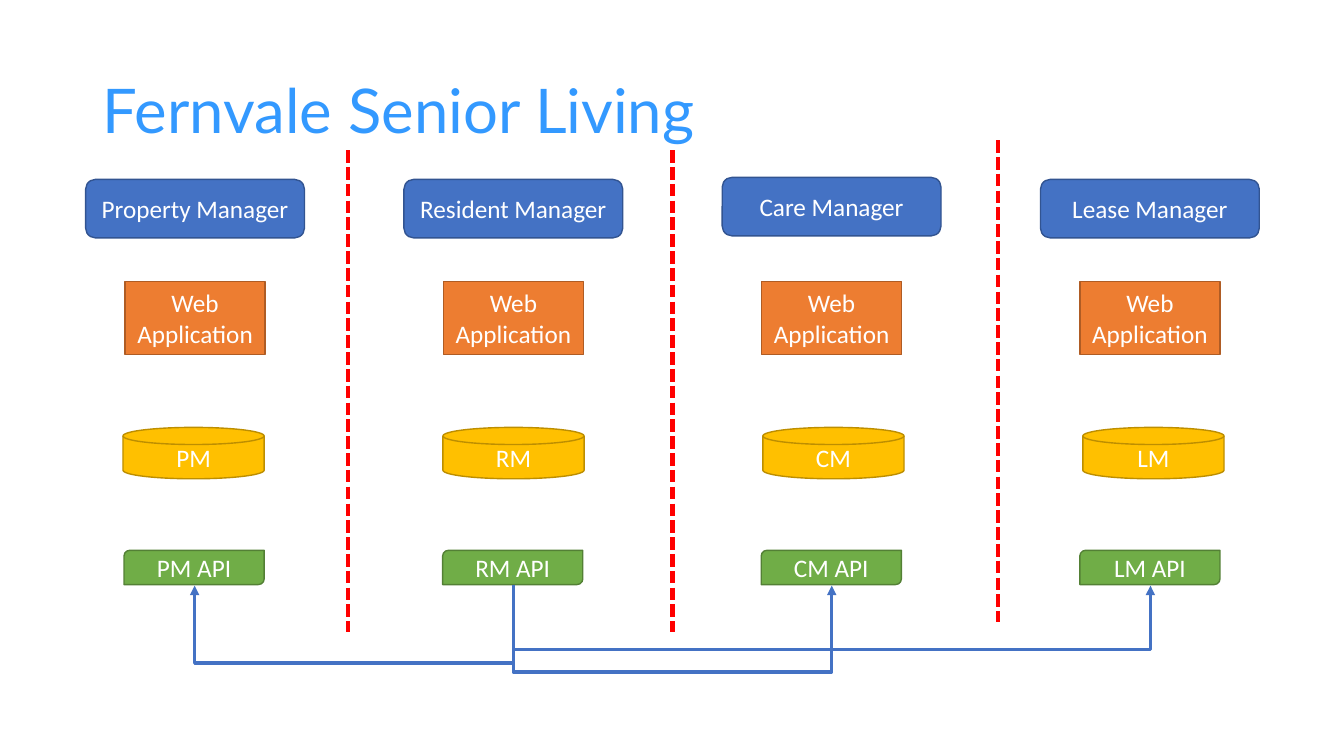
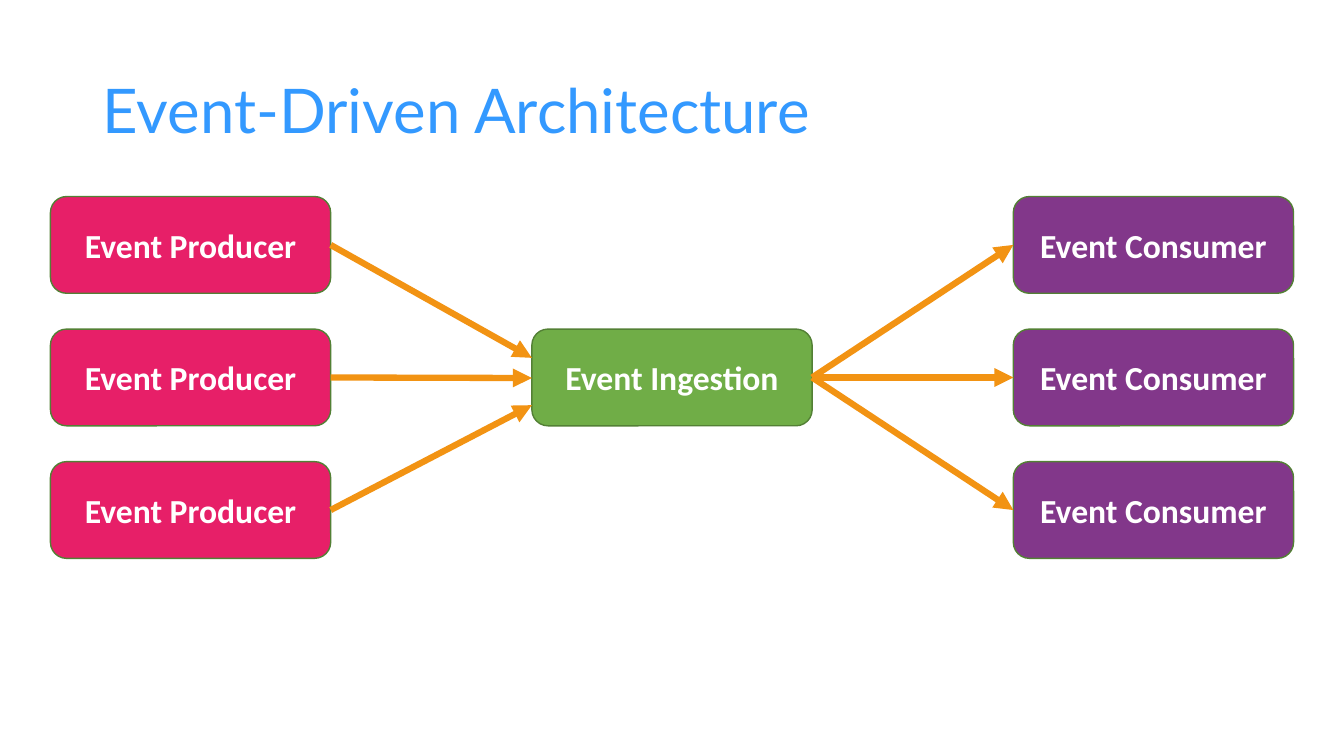
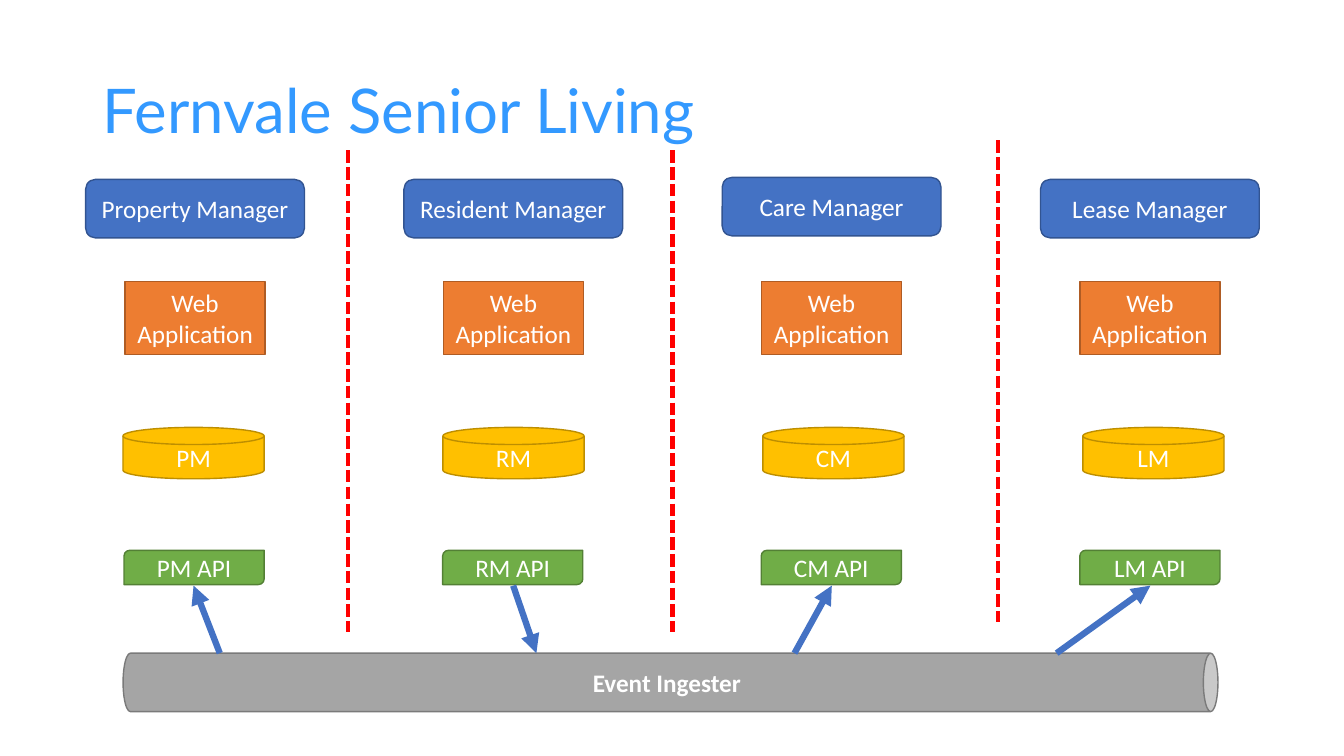
from dataclasses import dataclass

from lxml import etree
from pptx import Presentation
from pptx.dml.color import RGBColor
from pptx.enum.dml import MSO_LINE
from pptx.enum.shapes import MSO_CONNECTOR, MSO_SHAPE
from pptx.enum.text import MSO_ANCHOR, PP_ALIGN
from pptx.oxml.ns import qn
from pptx.util import Inches, Pt

ROUNDED, RECTANGLE = MSO_SHAPE.ROUNDED_RECTANGLE, MSO_SHAPE.RECTANGLE
DISK, API_BOX, CAN = MSO_SHAPE.FLOWCHART_MAGNETIC_DISK, MSO_SHAPE.ROUND_2_DIAG_RECTANGLE, MSO_SHAPE.CAN
STRAIGHT, ELBOW = MSO_CONNECTOR.STRAIGHT, MSO_CONNECTOR.ELBOW
DASHED = MSO_LINE.SQUARE_DOT
LEFT, CENTER, MIDDLE = PP_ALIGN.LEFT, PP_ALIGN.CENTER, MSO_ANCHOR.MIDDLE


@dataclass(frozen=True)
class Theme:
    title_font: str = "Lato"
    body_font: str = "Calibri"
    title_size: int = 44
    event_size: int = 24
    body_size: int = 18
    title: str = "3399FF"
    white: str = "FFFFFF"
    blue: str = "4472C4"
    blue_edge: str = "325491"
    orange: str = "ED7D31"
    orange_edge: str = "AF5C24"
    gold: str = "FFC000"
    gold_edge: str = "BD8E00"
    green: str = "70AD47"
    green_edge: str = "538035"
    gray: str = "A5A5A5"
    gray_edge: str = "7A7A7A"
    pink: str = "E71F68"
    purple: str = "82378A"
    amber: str = "F29313"
    red: str = "FF0000"


THEME = Theme()

COMPANY = "Fernvale Senior Living"
EVENT_TITLE = "Event-Driven Architecture"

SYSTEM_ROWS = [
    dict(labels=["Property Manager", "Resident Manager", "Care Manager", "Lease Manager"],
         kind=ROUNDED, first=0.85, last=10.32, tops=[1.78, 1.78, 1.76, 1.78], extent=(2.17, 0.58),
         fill=THEME.blue, edge=THEME.blue_edge),
    dict(labels=["Web Application"] * 4,
         kind=RECTANGLE, first=1.24, last=10.71, tops=[2.79] * 4, extent=(1.39, 0.73),
         fill=THEME.orange, edge=THEME.orange_edge),
    dict(labels=["PM", "RM", "CM", "LM"],
         kind=DISK, first=1.22, last=10.74, tops=[4.24] * 4, extent=(1.4, 0.51),
         fill=THEME.gold, edge=THEME.gold_edge),
    dict(labels=["PM API", "RM API", "CM API", "LM API"],
         kind=API_BOX, first=1.23, last=10.71, tops=[5.46] * 4, extent=(1.39, 0.34),
         fill=THEME.green, edge=THEME.green_edge),
]
DIVIDERS = [(3.45, 1.49), (6.67, 1.49), (9.9, 1.39)]
DIVIDER_LENGTH = 4.78

API_BOTTOM = 5.8
RESIDENT_API = 5.09
API_CALLS = [(11.41, 0.65), (8.25, 0.88), (1.93, 0.79)]

INGESTER = (1.22, 6.48, 10.86, 0.58)
INGESTER_ARROWS = [
    ((5.09, 5.81), (5.32, 6.48)),
    ((2.18, 6.48), (1.92, 5.81)),
    ((7.88, 6.48), (8.25, 5.81)),
    ((10.48, 6.48), (11.41, 5.81)),
]

EVENT_COLUMNS = [
    ("Event Producer", THEME.pink, [0, 1, 2]),
    ("Event Ingestion", THEME.green, [1]),
    ("Event Consumer", THEME.purple, [0, 1, 2]),
]
EVENT_BOX = (2.78, 0.96)
INGESTION_ENTRIES = [3.55, 3.75, 4.02]


def spread(first, last, count):
    return [first + (last - first) * index / (count - 1) for index in range(count)]


def add_text(shape, text, *, font=THEME.body_font, size=THEME.body_size, color=THEME.white,
             bold=False, align=CENTER, spacing=1.0):
    frame = shape.text_frame
    frame.word_wrap = True
    frame.vertical_anchor = MIDDLE
    paragraph = frame.paragraphs[0]
    paragraph.text = text
    paragraph.alignment = align
    paragraph.line_spacing = spacing
    paragraph.font.name = font
    paragraph.font.size = Pt(size)
    paragraph.font.bold = bold
    paragraph.font.color.rgb = RGBColor.from_string(color)


def add_box(slide, kind, left, top, extent, fill, edge, text, **text_format):
    shape = slide.shapes.add_shape(kind, *(Inches(value) for value in (left, top, *extent)))
    shape.shadow.inherit = False
    shape.fill.solid()
    shape.fill.fore_color.rgb = RGBColor.from_string(fill)
    shape.line.color.rgb = RGBColor.from_string(edge)
    shape.line.width = Pt(1)
    add_text(shape, text, **text_format)
    return shape


def add_line(slide, start, end, color, width, kind=STRAIGHT, dash=None, arrow=True):
    connector = slide.shapes.add_connector(kind, *(Inches(value) for value in (*start, *end)))
    connector.line.color.rgb = RGBColor.from_string(color)
    connector.line.width = Pt(width)
    if dash:
        connector.line.dash_style = dash
    properties = connector._element.spPr
    if arrow:
        etree.SubElement(properties.find(qn("a:ln")), qn("a:tailEnd"), type="triangle")
    etree.SubElement(properties, qn("a:effectLst"))
    return connector


def add_api_call(slide, target, drop):
    thickness = 0.01
    span = abs(target - RESIDENT_API)
    left = (target + RESIDENT_API - thickness) / 2
    top = API_BOTTOM + (thickness - span) / 2
    connector = add_line(slide, (left, top), (left + thickness, top + span), THEME.blue, 2.25, kind=ELBOW)
    properties = connector._element.spPr
    frame = properties.find(qn("a:xfrm"))
    rightward = target > RESIDENT_API
    frame.set("rot", str((270 if rightward else 90) * 60000))
    if rightward:
        frame.set("flipH", "1")
    geometry = properties.find(qn("a:prstGeom"))
    adjustments = geometry.find(qn("a:avLst"))
    if adjustments is None:
        adjustments = etree.SubElement(geometry, qn("a:avLst"))
    etree.SubElement(adjustments, qn("a:gd"), name="adj1", fmla=f"val {round(drop / thickness * 100000)}")


def add_slide(presentation, title):
    slide = presentation.slides.add_slide(presentation.slide_layouts[6])
    box = slide.shapes.add_textbox(Inches(0.92), Inches(0.4), Inches(11.5), Inches(1.45))
    add_text(box, title, font=THEME.title_font, size=THEME.title_size, color=THEME.title,
             align=LEFT, spacing=0.9)
    return slide


def add_systems_slide(presentation):
    slide = add_slide(presentation, COMPANY)
    for row in SYSTEM_ROWS:
        lefts = spread(row["first"], row["last"], len(row["labels"]))
        for label, left, top in zip(row["labels"], lefts, row["tops"]):
            add_box(slide, row["kind"], left, top, row["extent"], row["fill"], row["edge"], label)
    for x, top in DIVIDERS:
        add_line(slide, (x, top), (x, top + DIVIDER_LENGTH), THEME.red, 3, dash=DASHED, arrow=False)
    return slide


def add_direct_calls_slide(presentation):
    slide = add_systems_slide(presentation)
    for target, drop in API_CALLS:
        add_api_call(slide, target, drop)


def add_event_slide(presentation):
    slide = add_slide(presentation, EVENT_TITLE)
    width, height = EVENT_BOX
    lefts = spread(0.5, 10.05, 3)
    tops = spread(1.95, 4.58, 3)
    for left, (label, fill, rows) in zip(lefts, EVENT_COLUMNS):
        for row in rows:
            add_box(slide, ROUNDED, left, tops[row], EVENT_BOX, fill, THEME.green_edge, label,
                    size=THEME.event_size, bold=True)
    producer, ingestion, consumer = lefts
    centers = [top + height / 2 for top in tops]
    for center, entry in zip(centers, INGESTION_ENTRIES):
        add_line(slide, (producer + width, center), (ingestion, entry), THEME.amber, 4.5)
        add_line(slide, (ingestion + width, centers[1]), (consumer, center), THEME.amber, 4.5)


def add_ingester_slide(presentation):
    slide = add_systems_slide(presentation)
    left, top, length, height = INGESTER
    pipe = add_box(slide, CAN, left + (length - height) / 2, top + (height - length) / 2,
                   (height, length), THEME.gray, THEME.gray_edge, "Event Ingester", bold=True)
    pipe.rotation = 90
    pipe.text_frame._txBody.bodyPr.set("vert", "vert270")
    for start, end in INGESTER_ARROWS:
        add_line(slide, start, end, THEME.blue, 4.5)


def main():
    presentation = Presentation()
    presentation.slide_width = Inches(13.33)
    presentation.slide_height = Inches(7.5)
    add_direct_calls_slide(presentation)
    add_event_slide(presentation)
    add_ingester_slide(presentation)
    presentation.save("out.pptx")


if __name__ == "__main__":
    main()
